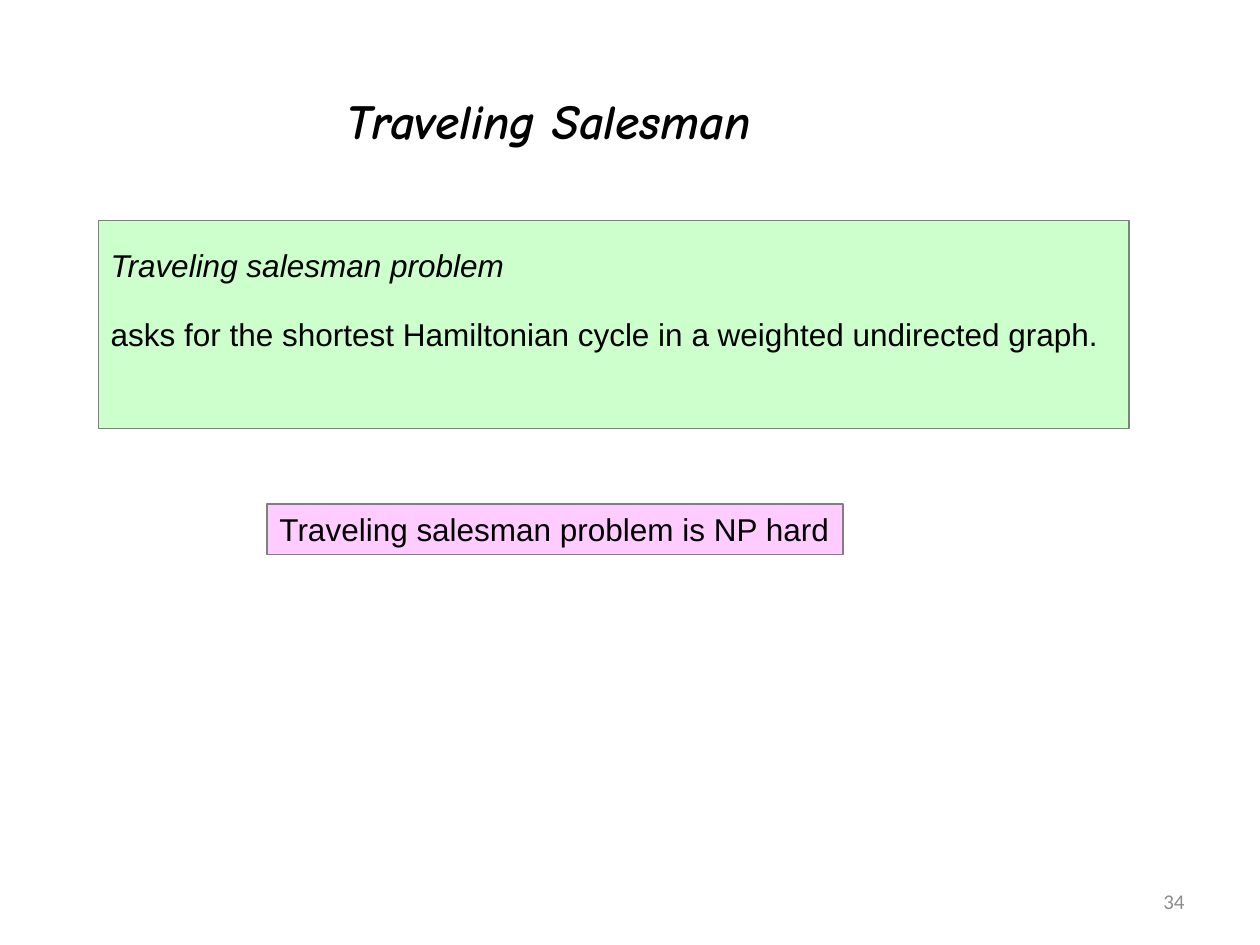
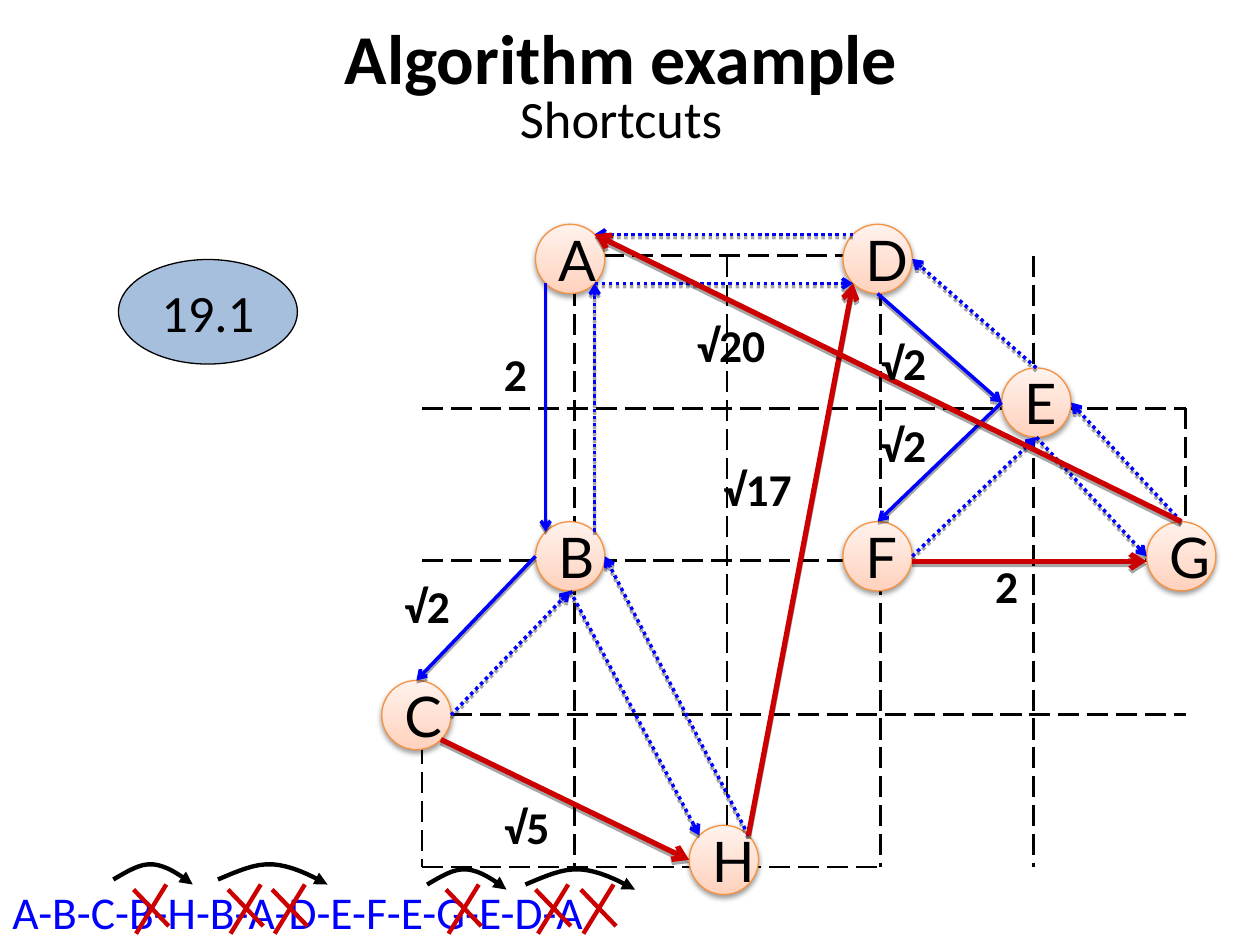
import dataclasses
import math
import typing

import lxml.etree
import pptx
import pptx.dml.color
import pptx.dml.line
import pptx.enum.dml
import pptx.enum.shapes
import pptx.enum.text
import pptx.oxml.ns
import pptx.shapes.autoshape
import pptx.shapes.base
import pptx.slide
import pptx.text.text
import pptx.util

EMU_PER_PX = 9144  # 100 px to the inch
COLOURS = {
    "text": "000000", "number": "8C8C8C", "panel_line": "808080",
    "definition": "CCFFCC", "hardness": "FFCCFF",
    "node_dark": "FFD2BD", "node_light": "FFF2ED", "node_line": "F69240",
    "walk": "0000FF", "shortcut": "CC0000", "length": "4F81BD",
}
ALIGN = pptx.enum.text.PP_ALIGN
ANCHOR = pptx.enum.text.MSO_ANCHOR
DASH = pptx.enum.dml.MSO_LINE
SHAPE = pptx.enum.shapes.MSO_SHAPE

Point = tuple[float, float]
Box = tuple[int, int, int, int]


@dataclasses.dataclass(frozen=True)
class TextStyle:
    size: int
    font: str = "Calibri"
    colour: str = "text"
    bold: bool = False
    italic: bool = False
    align: ALIGN = ALIGN.LEFT
    anchor: ANCHOR = ANCHOR.TOP


@dataclasses.dataclass(frozen=True)
class Stroke:
    colour: str
    width: float
    dash: typing.Optional[DASH] = None
    arrow: str = ""


@dataclasses.dataclass(frozen=True)
class Shadow:
    opacity: int
    blur: float
    distance: float


class Edge(typing.NamedTuple):
    """An arrow between compass points of two nodes."""
    start: str
    start_side: str
    end: str
    end_side: str
    drop: int = 0


class Label(typing.NamedTuple):
    text: str
    left: int
    top: int
    width: int


BODY = TextStyle(18, "Arial")
NODE_TEXT = TextStyle(32, "Lato", align=ALIGN.CENTER, anchor=ANCHOR.MIDDLE)
WEIGHT_TEXT = TextStyle(26, bold=True)

PANEL_LINE = Stroke("panel_line", 0.75)
NODE_LINE = Stroke("node_line", 0.75)
GRID_LINE = Stroke("text", 1.5, DASH.LONG_DASH)
KEPT = Stroke("walk", 2, arrow="arrow")
SKIPPED = Stroke("walk", 2, DASH.ROUND_DOT, "arrow")
SHORTCUT = Stroke("shortcut", 3, arrow="arrow")
CROSS = Stroke("shortcut", 2.5)
JUMP = Stroke("text", 2.5, arrow="triangle")
NODE_SHADOW = Shadow(38, 3.1, 1.6)
EDGE_SHADOW = Shadow(35, 0, 1.8)

GRID_LEFT, GRID_TOP, GRID_STEP = 335, 203, 121.2
GRID = (  # from column, from row, to column, to row
    *((column, 0, column, 4) for column in range(1, 5)),
    *((0, row, 5, row) for row in range(1, 4)),
    (0, 3, 0, 4), (5, 1, 5, 2), (1, 0, 3, 0), (0, 4, 3, 4),
)
NODE_SIZE = 55
NODES = {
    "A": (425, 178), "D": (669, 178), "E": (795, 292), "G": (910, 414),
    "F": (669, 414), "H": (547, 655), "C": (303, 540), "B": (425, 414),
}
SIDES = ("e", "se", "s", "sw", "w", "nw", "n", "ne")
KEPT_EDGES = (
    Edge("A", "sw", "B", "nw"), Edge("B", "w", "C", "n"),
    Edge("D", "s", "E", "w"), Edge("E", "w", "F", "n"),
)
SKIPPED_EDGES = (
    Edge("A", "se", "D", "sw"), Edge("D", "nw", "A", "ne"),
    Edge("B", "ne", "A", "se"), Edge("H", "ne", "B", "e"),
    Edge("B", "s", "H", "nw"), Edge("C", "e", "B", "s"),
    Edge("G", "n", "E", "e"), Edge("F", "e", "E", "s"),
    Edge("E", "s", "G", "w"), Edge("E", "n", "D", "e"),
)
SHORTCUT_EDGES = (
    Edge("C", "se", "H", "w"), Edge("H", "ne", "D", "sw"),
    Edge("F", "e", "G", "w", drop=4), Edge("G", "n", "A", "ne"),
)
WEIGHTS = (
    Label("√2", 311, 454, 63), Label("2", 390, 270, 43),
    Label("√5", 390, 629, 63), Label("√17", 564, 361, 86),
    Label("√2", 689, 261, 63), Label("√2", 689, 326, 63),
    Label("2", 780, 438, 43), Label("√20", 543, 247, 86),
)
CROSS_LEFTS = (106, 181, 216, 354, 425, 461)
JUMPS = ((90, 698, 63), (339, 702, 63), (173, 698, 87), (417, 702, 87))  # left, top, width
JUMP_RISES = (0, -6, -13, -12, -11, -4, 4)  # control points of two joined cubics


def px(length: float) -> int:
    return round(length * EMU_PER_PX)


def rgb(name: str) -> pptx.dml.color.RGBColor:
    return pptx.dml.color.RGBColor.from_string(COLOURS[name])


def add_xml(parent: typing.Any, tag: str, **attributes: str) -> typing.Any:
    return lxml.etree.SubElement(parent, pptx.oxml.ns.qn(tag), attributes)


def style_font(font: pptx.text.text.Font, style: TextStyle) -> None:
    font.name, font.size = style.font, pptx.util.Pt(style.size)
    font.bold, font.italic = style.bold, style.italic
    font.color.rgb = rgb(style.colour)


def style_line(line: pptx.dml.line.LineFormat, stroke: Stroke) -> None:
    line.color.rgb = rgb(stroke.colour)
    line.width = pptx.util.Pt(stroke.width)
    if stroke.dash:
        line.dash_style = stroke.dash
    if stroke.arrow:
        add_xml(line._get_or_add_ln(), "a:tailEnd", type=stroke.arrow)


def set_shadow(shape: pptx.shapes.base.BaseShape, shadow: typing.Optional[Shadow]) -> None:
    """Replace the theme's shadow by the given one, or by none."""
    effects = add_xml(shape._element.spPr, "a:effectLst")
    if shadow:
        outer = add_xml(
            effects, "a:outerShdw", blurRad=str(pptx.util.Pt(shadow.blur)),
            dist=str(pptx.util.Pt(shadow.distance)), dir="5400000", rotWithShape="0")
        colour = add_xml(outer, "a:srgbClr", val=COLOURS["text"])
        add_xml(colour, "a:alpha", val=str(shadow.opacity * 1000))


def write(shape: pptx.shapes.autoshape.Shape, text: str, style: TextStyle) -> None:
    frame = shape.text_frame
    frame.word_wrap = True
    frame.auto_size = pptx.enum.text.MSO_AUTO_SIZE.NONE
    frame.vertical_anchor = style.anchor
    frame.text = text
    for paragraph in frame.paragraphs:
        paragraph.alignment = style.align
        style_font(paragraph.font, style)


def add_text(slide: pptx.slide.Slide, box: Box, text: str, style: TextStyle) -> None:
    write(slide.shapes.add_textbox(*map(px, box)), text, style)


def place_title(slide: pptx.slide.Slide, box: Box, text: str, style: TextStyle):
    title = slide.shapes.title
    title.left, title.top, title.width, title.height = map(px, box)
    write(title, text, style)
    return title.text_frame.paragraphs[0]


def add_shape(slide: pptx.slide.Slide, kind: SHAPE, box: Box, stroke: Stroke,
              text: str, style: TextStyle) -> pptx.shapes.autoshape.Shape:
    shape = slide.shapes.add_shape(kind, *map(px, box))
    style_line(shape.line, stroke)
    write(shape, text, style)
    return shape


def add_panel(slide: pptx.slide.Slide, box: Box, fill: str, text: str):
    panel = add_shape(slide, SHAPE.RECTANGLE, box, PANEL_LINE, text, BODY)
    panel.fill.solid()
    panel.fill.fore_color.rgb = rgb(fill)
    panel.shadow.inherit = False
    panel.text_frame.margin_right = 0
    return panel.text_frame.paragraphs


def add_line(slide: pptx.slide.Slide, start: Point, end: Point, stroke: Stroke,
             shadow: typing.Optional[Shadow] = None) -> None:
    line = slide.shapes.add_connector(
        pptx.enum.shapes.MSO_CONNECTOR.STRAIGHT, *map(px, (*start, *end)))
    style_line(line.line, stroke)
    set_shadow(line, shadow)


def add_node(slide: pptx.slide.Slide, name: str) -> None:
    node = add_shape(slide, SHAPE.OVAL, (*NODES[name], NODE_SIZE, NODE_SIZE),
                     NODE_LINE, name, NODE_TEXT)
    node.fill.gradient()
    node.fill.gradient_angle = 90
    for stop, colour in zip(node.fill.gradient_stops, ("node_dark", "node_light")):
        stop.color.rgb = rgb(colour)
    set_shadow(node, NODE_SHADOW)


def node_point(name: str, side: str) -> Point:
    left, top = NODES[name]
    radius = NODE_SIZE / 2
    angle = SIDES.index(side) * math.pi / 4
    return (left + radius * (1 + math.cos(angle)), top + radius * (1 + math.sin(angle)))


def add_edges(slide: pptx.slide.Slide, edges: tuple[Edge, ...], stroke: Stroke) -> None:
    for edge in edges:
        start_x, start_y = node_point(edge.start, edge.start_side)
        end_x, end_y = node_point(edge.end, edge.end_side)
        add_line(slide, (start_x, start_y + edge.drop), (end_x, end_y + edge.drop),
                 stroke, EDGE_SHADOW)


def cubic_point(controls: list[Point], t: float) -> Point:
    weights = [math.comb(3, i) * t**i * (1 - t) ** (3 - i) for i in range(4)]
    x, y = (sum(w * value for w, value in zip(weights, axis)) for axis in zip(*controls))
    return x, y


def add_jump(slide: pptx.slide.Slide, left: int, top: int, width: int) -> None:
    """Draw the curved arrow that leaps over crossed-out stops."""
    steps = 8
    controls = [(left + width * i / 6, top + rise) for i, rise in enumerate(JUMP_RISES)]
    points = [cubic_point(controls[first:first + 4], step / steps)
              for first in (0, 3) for step in range(1, steps + 1)]
    builder = slide.shapes.build_freeform(px(left), px(top))
    builder.add_line_segments([(px(x), px(y)) for x, y in points], close=False)
    arc = builder.convert_to_shape()
    arc.fill.background()
    style_line(arc.line, JUMP)
    arc.shadow.inherit = False


def build_problem_slide(slide: pptx.slide.Slide) -> None:
    place_title(slide, (265, 67, 477, 57), "Traveling Salesman",
                TextStyle(28, "Comic Neue", bold=True, italic=True))
    term, definition = add_panel(
        slide, (78, 175, 818, 165), "definition",
        "Traveling salesman problem\n"
        "asks for the shortest Hamiltonian cycle in a weighted undirected graph.")
    term.font.italic = True
    term.line_spacing = definition.line_spacing = 1.5
    definition.space_before = pptx.util.Pt(7)
    add_panel(slide, (212, 400, 457, 40), "hardness", "Traveling salesman problem is NP hard")
    add_text(slide, (717, 695, 233, 40), "34",
             TextStyle(12, colour="number", align=ALIGN.RIGHT, anchor=ANCHOR.MIDDLE))


def build_example_slide(slide: pptx.slide.Slide) -> None:
    heading = TextStyle(40, bold=True, align=ALIGN.CENTER, anchor=ANCHOR.BOTTOM)
    title = place_title(slide, (43, 17, 900, 106), "Algorithm example\vShortcuts", heading)
    title.line_spacing = 0.8
    for run, style in zip(title.runs, (heading, TextStyle(30))):
        style_font(run.font, style)

    for grid_line in GRID:
        start_x, start_y, end_x, end_y = (
            origin + round(GRID_STEP * index)
            for origin, index in zip((GRID_LEFT, GRID_TOP) * 2, grid_line))
        add_line(slide, (start_x, start_y), (end_x, end_y), GRID_LINE)
    for name in NODES:
        add_node(slide, name)
    add_edges(slide, KEPT_EDGES, KEPT)
    add_edges(slide, SKIPPED_EDGES, SKIPPED)

    add_text(slide, (0, 697, 533, 53), "A-B-C-B-H-B-A-D-E-F-E-G-E-D-A",
             TextStyle(26, colour="walk"))
    length = add_shape(slide, SHAPE.OVAL, (94, 206, 142, 83), Stroke("text", 0.75), "19.1",
                       TextStyle(30, align=ALIGN.CENTER, anchor=ANCHOR.MIDDLE))
    length.fill.solid()
    length.fill.fore_color.rgb = rgb("length")
    fill_colour = length._element.spPr.find(".//" + pptx.oxml.ns.qn("a:srgbClr"))
    add_xml(fill_colour, "a:alpha", val="50000")
    length.shadow.inherit = False

    for left in CROSS_LEFTS:
        add_line(slide, (left + 26, 702), (left + 2, 741), CROSS)
        add_line(slide, (left, 706), (left + 28, 735), CROSS)
    add_edges(slide, SHORTCUT_EDGES, SHORTCUT)
    for jump in JUMPS:
        add_jump(slide, *jump)
    for label in WEIGHTS:
        add_text(slide, (label.left, label.top, label.width, 53), label.text, WEIGHT_TEXT)


def main() -> None:
    presentation = pptx.Presentation()
    presentation.slide_width, presentation.slide_height = px(1000), px(750)
    title_only = presentation.slide_layouts[5]
    for build in (build_problem_slide, build_example_slide):
        build(presentation.slides.add_slide(title_only))
    presentation.save("out.pptx")


if __name__ == "__main__":
    main()
